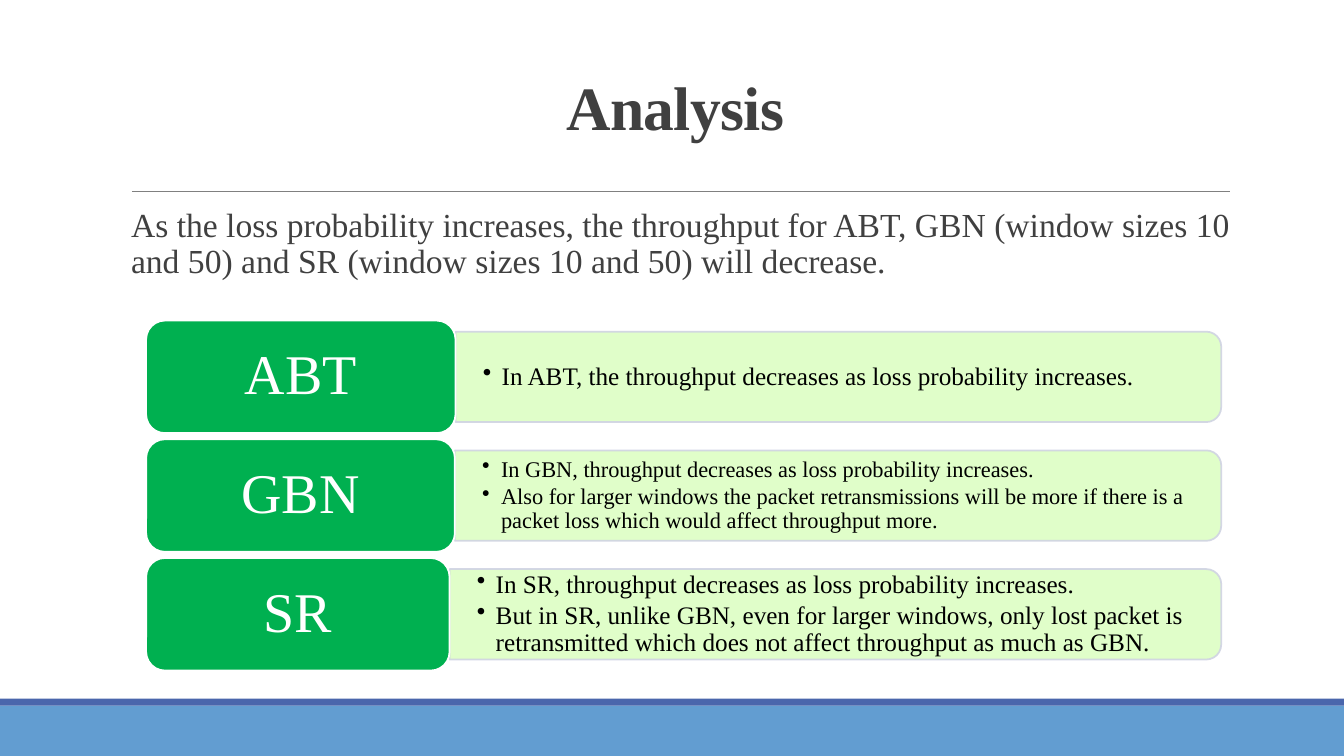
from lxml import etree
from pptx import Presentation
from pptx.dml.color import RGBColor
from pptx.enum.shapes import MSO_CONNECTOR, MSO_SHAPE
from pptx.enum.text import MSO_ANCHOR, MSO_AUTO_SIZE, PP_ALIGN
from pptx.oxml.ns import qn
from pptx.util import Pt

STRAIGHT = MSO_CONNECTOR.STRAIGHT
RECT = MSO_SHAPE.RECTANGLE
ROUNDED = MSO_SHAPE.ROUNDED_RECTANGLE
TWO_ROUNDED = MSO_SHAPE.ROUND_2_SAME_RECTANGLE
TOP, MIDDLE = MSO_ANCHOR.TOP, MSO_ANCHOR.MIDDLE
LEFT, CENTER = PP_ALIGN.LEFT, PP_ALIGN.CENTER
NO_FIT = MSO_AUTO_SIZE.NONE

WHITE = RGBColor(0xFF, 0xFF, 0xFF)
BLACK = RGBColor(0, 0, 0)
CHARCOAL = RGBColor(0x40, 0x40, 0x40)
GREY = RGBColor(0x80, 0x80, 0x80)
SKY = RGBColor(0x62, 0x9D, 0xD1)
INDIGO = RGBColor(0x4A, 0x66, 0xAC)
GREEN = RGBColor(0x00, 0xB0, 0x50)
PALE_GREEN = RGBColor(0xDD, 0xFE, 0xC4)
PALE_BLUE = RGBColor(0xD0, 0xD3, 0xE3)

CARD_LEFT, CARD_TOP, CARD_HEIGHT, ROW_PITCH = 104.4, 229, 80.4, 84.8
PANEL_RIGHT, PANEL_HEIGHT, PANEL_TEXT_HEIGHT = 872.3, 64.6, 58.3

PROTOCOLS = [
    ("ABT", 221, 18, ["In ABT, the throughput decreases as loss probability increases."]),
    ("GBN", 220.5, 16, [
        "In GBN, throughput decreases as loss probability increases.",
        "Also for larger windows the packet retransmissions will be more if there is a "
        "packet loss which would affect throughput more."]),
    ("SR", 216.7, 18, [
        "In SR, throughput decreases as loss probability increases.",
        "But in SR, unlike GBN, even for larger windows, only lost packet is "
        "retransmitted which does not affect throughput as much as GBN."]),
]


class SlideBuilder:
    font = "Times New Roman"

    def __init__(self, slide):
        self.slide = slide

    def fill_text(self, shape, lines, size, color, align=LEFT, anchor=MIDDLE, insets=(0, 0),
                  bold=False, spacing=0.9, after=0, indent=0, bullet=False, tracking=0):
        frame = shape.text_frame
        frame.word_wrap = True
        frame.auto_size = NO_FIT
        frame.vertical_anchor = anchor
        frame.margin_left = frame.margin_right = Pt(insets[0])
        frame.margin_top = frame.margin_bottom = Pt(insets[1])
        for number, line in enumerate(lines):
            paragraph = frame.add_paragraph() if number else frame.paragraphs[0]
            paragraph.alignment = align
            paragraph.line_spacing = spacing
            paragraph.space_before = Pt(0)
            paragraph.space_after = Pt(after)
            properties = paragraph._p.get_or_add_pPr()
            properties.set("marL", str(Pt(indent)))
            properties.set("indent", str(Pt(-indent if bullet else 0)))
            if bullet:
                etree.SubElement(properties, qn("a:buChar")).set("char", "•")
            run = paragraph.add_run()
            run.text = line
            run.font.name = self.font
            run.font.size = Pt(size)
            run.font.bold = bold
            run.font.color.rgb = color
            if tracking:
                run._r.get_or_add_rPr().set("spc", str(round(tracking * 100)))

    def title(self, text, left, top, width, height, **style):
        heading = self.slide.shapes.title
        heading.left, heading.top = Pt(left), Pt(top)
        heading.width, heading.height = Pt(width), Pt(height)
        self.fill_text(heading, [text], **style)

    def text(self, lines, left, top, width, height, **style):
        box = self.slide.shapes.add_textbox(Pt(left), Pt(top), Pt(width), Pt(height))
        self.fill_text(box, lines, **style)

    def block(self, kind, left, top, width, height, fill, outline=None):
        block = self.slide.shapes.add_shape(kind, Pt(left), Pt(top), Pt(width), Pt(height))
        block.shadow.inherit = False
        block.fill.solid()
        block.fill.fore_color.rgb = fill
        if outline is None:
            block.line.fill.background()
        else:
            block.line.color.rgb = outline
            block.line.width = Pt(1.25)
        return block

    def side_panel(self, left, middle, width, height):
        panel = self.block(TWO_ROUNDED, left + (width - height) / 2, middle - width / 2,
                           height, width, PALE_GREEN, PALE_BLUE)
        panel.rotation = 90
        for color in panel._element.spPr.iter(qn("a:srgbClr")):
            etree.SubElement(color, qn("a:alpha")).set("val", "90000")

    def rule(self, left, right, y):
        rule = self.slide.shapes.add_connector(STRAIGHT, Pt(left), Pt(y), Pt(right), Pt(y))
        rule.line.color.rgb = GREY
        rule.line.width = Pt(0.5)
        etree.SubElement(rule._element.spPr, qn("a:effectLst"))

    def protocol(self, name, card_width, size, findings, top):
        middle = top + CARD_HEIGHT / 2
        panel_left = CARD_LEFT + card_width
        panel_width = PANEL_RIGHT - panel_left
        self.side_panel(panel_left, middle, panel_width, PANEL_HEIGHT)
        self.text(findings, panel_left, middle - PANEL_TEXT_HEIGHT / 2, panel_width - 3,
                  PANEL_TEXT_HEIGHT, size=size, color=BLACK, insets=(19.5, 9.75),
                  after=size * 0.15, indent=13.5, bullet=True)
        card = self.block(ROUNDED, CARD_LEFT, top, card_width, CARD_HEIGHT, GREEN, WHITE)
        self.fill_text(card, [name], 40, WHITE, align=CENTER, insets=(12, 6))


def main():
    deck = Presentation()
    deck.slide_width, deck.slide_height = Pt(960), Pt(540)
    page = SlideBuilder(deck.slides.add_slide(deck.slide_layouts[5]))
    page.block(RECT, 0, 504, 960, 36, SKY)
    page.block(RECT, 0, 499, 960, 5, INDIGO)
    page.rule(94.3, 878.8, 136.7)
    page.title("Analysis", 86.4, 22.6, 792, 114.2, size=44, color=CHARCOAL, align=CENTER,
               insets=(7.2, 3.6), bold=True, spacing=0.85, tracking=-0.5)
    page.text(["As the loss probability increases, the throughput for ABT, GBN (window sizes "
               "10 and 50) and SR (window sizes 10 and 50) will decrease."],
              86.4, 145.3, 793, 70, size=24, color=CHARCOAL, anchor=TOP,
              insets=(0, 3.6), indent=7.2)
    for row, protocol in enumerate(PROTOCOLS):
        page.protocol(*protocol, CARD_TOP + row * ROW_PITCH)
    deck.save("out.pptx")


if __name__ == "__main__":
    main()
